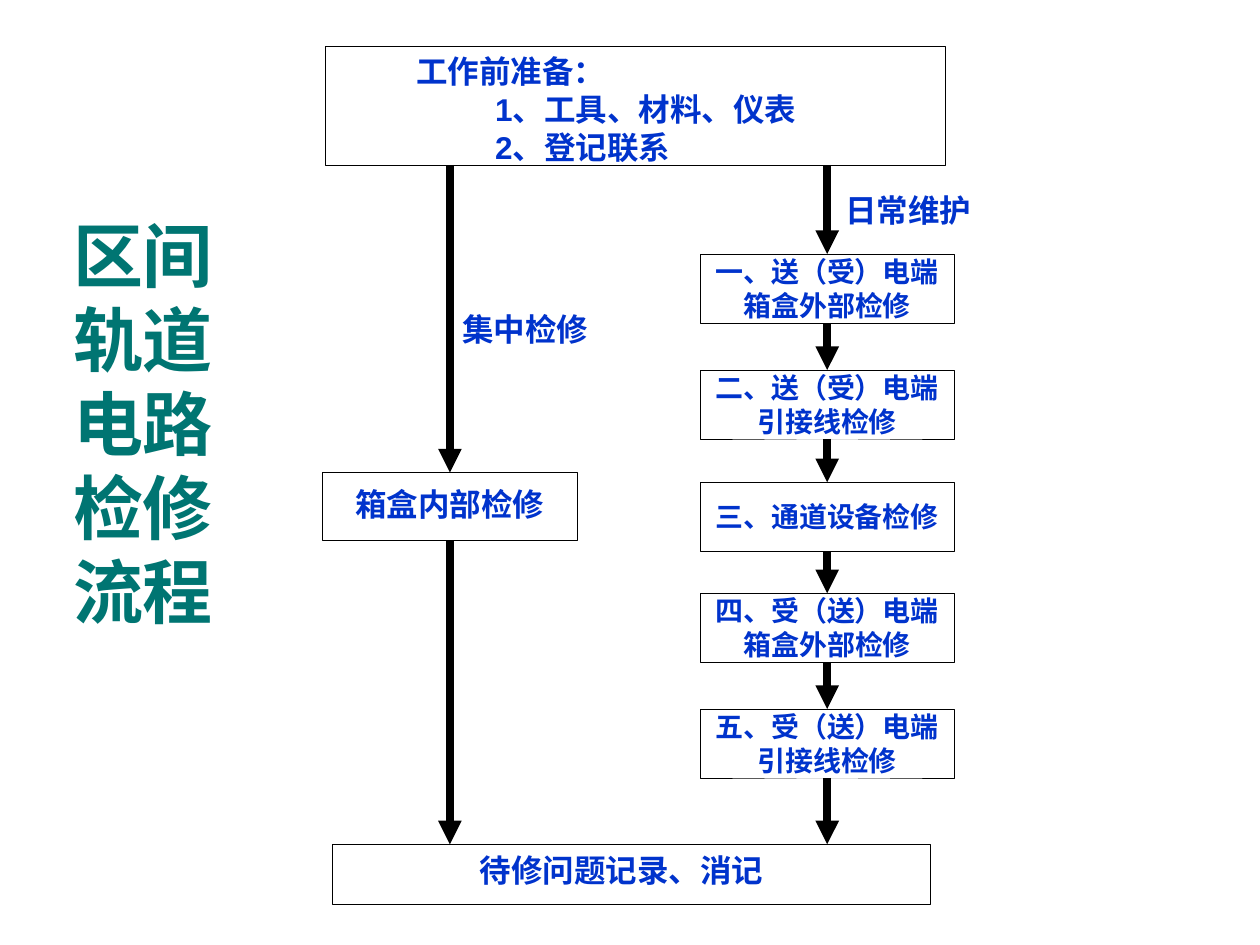
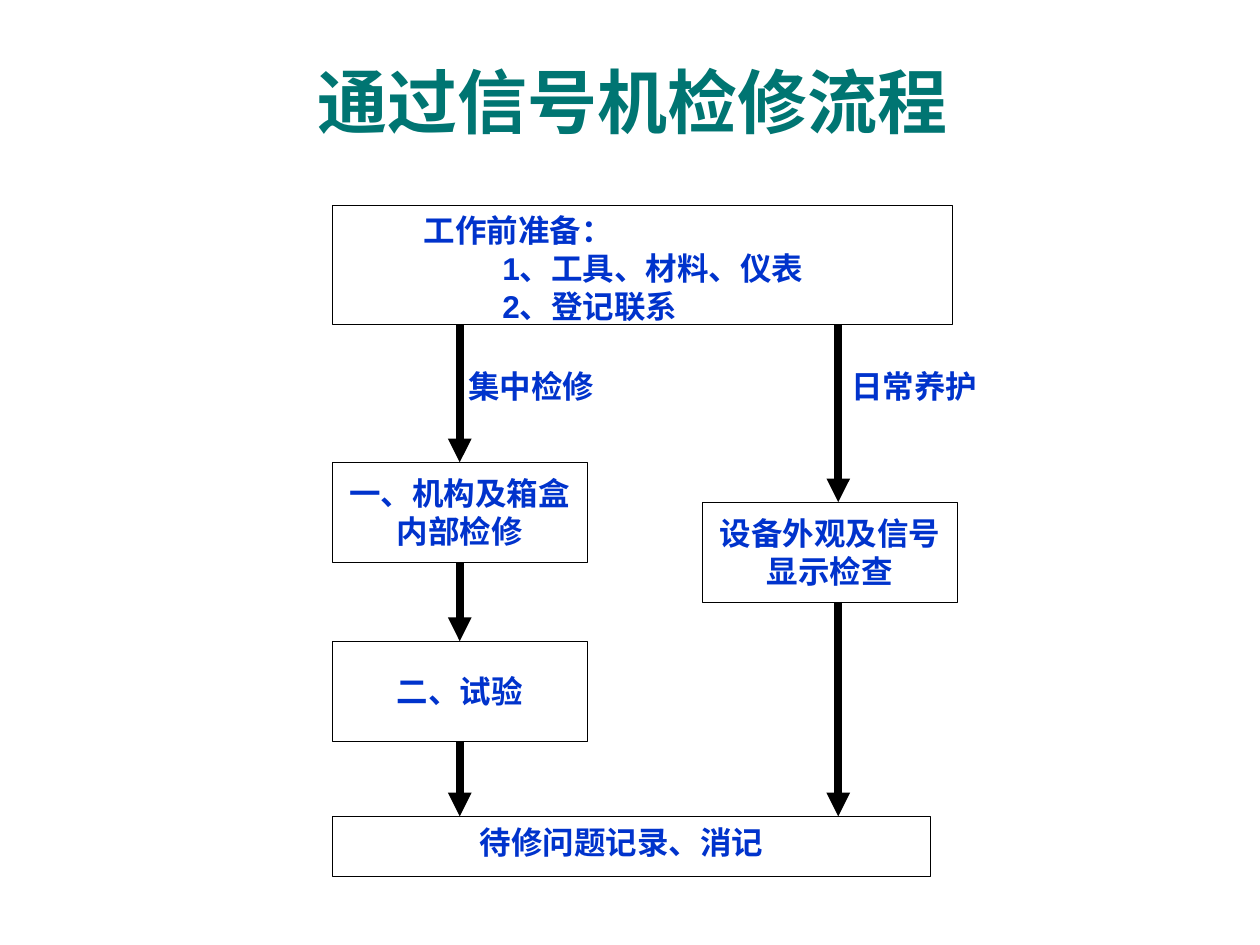
from pptx import Presentation
from pptx.dml.color import RGBColor
from pptx.enum.lang import MSO_LANGUAGE_ID
from pptx.enum.shapes import MSO_CONNECTOR, MSO_SHAPE
from pptx.enum.text import MSO_ANCHOR, MSO_AUTO_SIZE, PP_ALIGN
from pptx.oxml.ns import qn
from pptx.util import Pt
from lxml import etree

COLORS = {"title": "007572", "text": "0033CC", "line": "000000", "box": "FFFFFF"}
FONT = "Arial"
CHINESE = MSO_LANGUAGE_ID.SIMPLIFIED_CHINESE
LEFT, CENTER = PP_ALIGN.LEFT, PP_ALIGN.CENTER
TOP, MIDDLE = MSO_ANCHOR.TOP, MSO_ANCHOR.MIDDLE
NO_FIT = MSO_AUTO_SIZE.NONE
STRAIGHT = MSO_CONNECTOR.STRAIGHT
RECTANGLE = MSO_SHAPE.RECTANGLE
SIDE_TOP, SIDE_BOTTOM = 0, 2

PREP_SIZE = (354.3, 68)
RECORD_SIZE = (342, 34)
STEP_WIDTH = 145.4
PREP_LINES = ["工作前准备：", "1、工具、材料、仪表", "2、登记联系"]
PREP_INDENTS = [45, 90, 90]


def color(name):
    return RGBColor.from_string(COLORS[name])


def points(values):
    return [Pt(value) for value in values]


def write(frame, text, size=18, ink="text", align=LEFT, anchor=TOP, inset=3.6, indents=None):
    """Fill a text frame; text is one string or a list of paragraphs."""
    lines = [text] if isinstance(text, str) else text
    frame.word_wrap = True
    frame.auto_size = NO_FIT
    frame.vertical_anchor = anchor
    frame.margin_left = frame.margin_right = Pt(7.2)
    frame.margin_top = frame.margin_bottom = Pt(inset)
    for index, line in enumerate(lines):
        para = frame.add_paragraph() if index else frame.paragraphs[0]
        para.alignment = align
        if indents:
            properties = para._p.get_or_add_pPr()
            properties.set("marL", str(Pt(indents[index])))
            properties.set("indent", "0")
        span = para.add_run()
        span.text = line
        span.font.name = FONT
        span.font.size = Pt(size)
        span.font.bold = True
        span.font.color.rgb = color(ink)
        span.font.language_id = CHINESE


def add_box(page, place, text, **style):
    box = page.shapes.add_shape(RECTANGLE, *points(place))
    box.shadow.inherit = False
    box.fill.solid()
    box.fill.fore_color.rgb = color("box")
    box.line.color.rgb = color("line")
    box.line.width = Pt(0.25)
    write(box.text_frame, text, **style)
    return box


def add_label(page, left, top, text):
    label = page.shapes.add_textbox(*points((left, top, 113, 28.8)))
    write(label.text_frame, text)


def add_arrow(page, x, top, bottom, above=None, below=None):
    """Draw a downward arrow, joined to the boxes above and below if given."""
    arrow = page.shapes.add_connector(STRAIGHT, *points((x, top, x, bottom)))
    if above is not None:
        arrow.begin_connect(above, SIDE_BOTTOM)
    if below is not None:
        arrow.end_connect(below, SIDE_TOP)
    arrow.line.color.rgb = color("line")
    arrow.line.width = Pt(4.5)
    outline = arrow.line._get_or_add_ln()
    etree.SubElement(outline, qn("a:tailEnd"), type="triangle")
    etree.SubElement(arrow._element.spPr, qn("a:effectLst"))


def add_column(page, left, span, height, steps, arrow_x=None, **style):
    """Stack step boxes between the two levels in span, with arrows through them.

    steps holds (top, text); arrow_x sets arrows off the middle of the boxes.
    """
    boxes = [add_box(page, (left, top, STEP_WIDTH, height), text,
                     align=CENTER, inset=7.2, **style) for top, text in steps]
    x = arrow_x or left + STEP_WIDTH / 2
    joints = [None] + (boxes if arrow_x is None else [None] * len(boxes)) + [None]
    starts = [span[0]] + [top + height for top, _ in steps]
    ends = [top for top, _ in steps] + [span[1]]
    for index, (start, end) in enumerate(zip(starts, ends)):
        add_arrow(page, x, start, end, joints[index], joints[index + 1])


def add_frame(page, title, title_place, prep_corner, record_top):
    """Place title, preparation box and record box; return the levels between."""
    heading = page.shapes.title
    heading.left, heading.top, heading.width, heading.height = points(title_place)
    write(heading.text_frame, title, size=40, ink="title", align=CENTER, anchor=MIDDLE)
    add_box(page, (*prep_corner, *PREP_SIZE), PREP_LINES, indents=PREP_INDENTS)
    add_box(page, (189.6, record_top, *RECORD_SIZE), "待修问题记录、消记", indents=[77.5])
    return prep_corner[1] + PREP_SIZE[1], record_top


def track_circuit_page(page):
    span = add_frame(page, "区间轨道电路检修流程", (25.2, 122.4, 113, 238.3),
                     (185.8, 26.2), 482.5)
    # Central overhaul
    add_column(page, 184.4, span, 39, [(270, "箱盒内部检修")])
    add_label(page, 257, 173.5, "集中检修")
    # Daily maintenance
    steps = [(145.2, "一、送（受）电端箱盒外部检修"),
             (211.5, "二、送（受）电端引接线检修"),
             (275.6, "三、通道设备检修"),
             (339, "四、受（送）电端箱盒外部检修"),
             (405.2, "五、受（送）电端引接线检修")]
    add_column(page, 400, span, 39.3, steps, size=16, anchor=MIDDLE)
    add_label(page, 476, 105.8, "日常维护")


def signal_page(page):
    span = add_frame(page, "通过信号机检修流程", (25.2, 31.7, 672.5, 51.1),
                     (190, 117.2), 466.5)
    # Central overhaul
    steps = [(264.2, "一、机构及箱盒内部检修"), (366.4, "二、试验")]
    add_column(page, 190, span, 57, steps, anchor=MIDDLE)
    add_label(page, 260.6, 206, "集中检修")
    # Daily care
    add_column(page, 401.5, span, 57, [(287, "设备外观及信号显示检查")],
               arrow_x=479, anchor=MIDDLE)
    add_label(page, 479.5, 206, "日常养护")


def main():
    deck = Presentation()
    deck.slide_width, deck.slide_height = Pt(720), Pt(540)
    title_only = deck.slide_layouts[5]
    for build in (track_circuit_page, signal_page):
        build(deck.slides.add_slide(title_only))
    deck.save("out.pptx")


if __name__ == "__main__":
    main()
